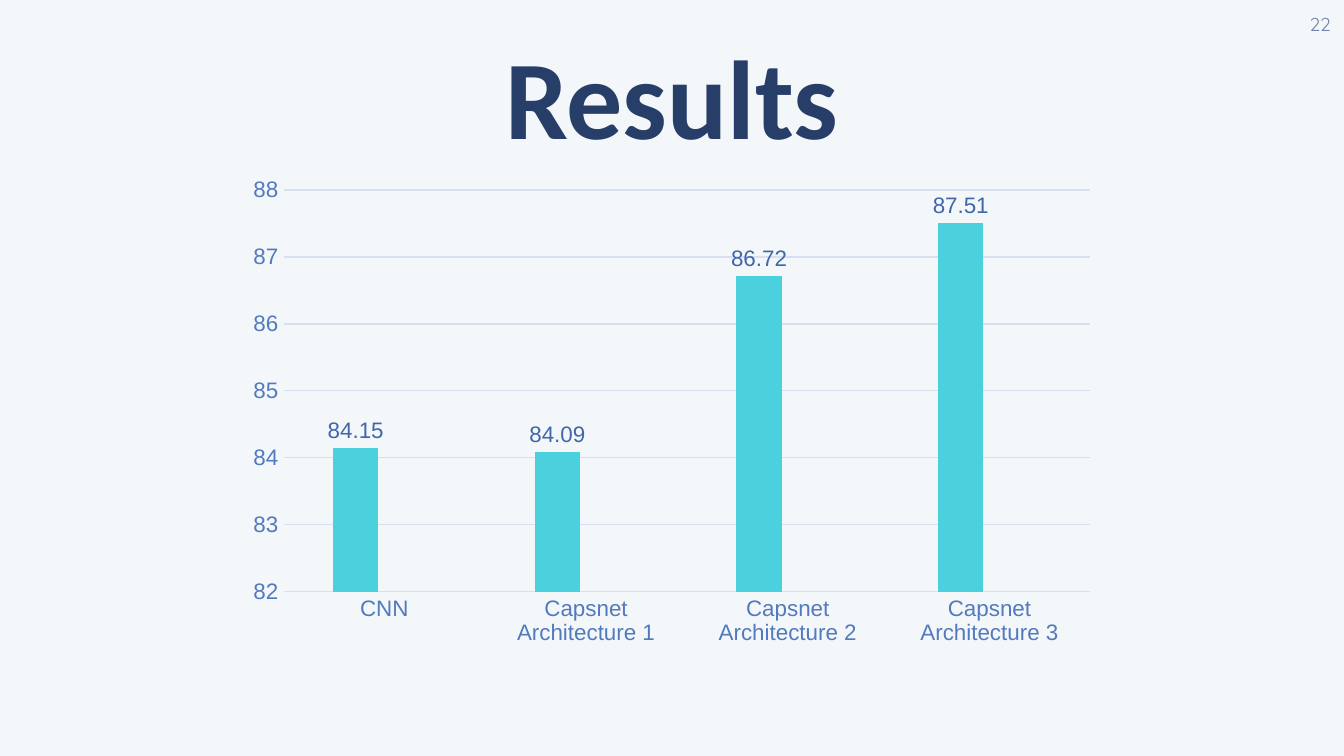
from lxml.etree import SubElement
from pptx import Presentation
from pptx.chart.data import CategoryChartData
from pptx.dml.color import RGBColor
from pptx.enum.chart import XL_CHART_TYPE, XL_LABEL_POSITION, XL_TICK_MARK
from pptx.enum.text import MSO_ANCHOR, PP_ALIGN
from pptx.oxml.ns import qn
from pptx.util import Inches, Pt

COLOURS = {
    "background": "F4F7FA",
    "title": "273F68",
    "page": "7085AA",
    "axis": "527ABE",
    "grid": "D7E0F0",
    "value": "4067AB",
    "first": "4BD1DD",
    "second": "BD9ADD",
}
ACCURACY = {
    "CNN": 84.15,
    "Capsnet Architecture 1": 84.09,
    "Capsnet Architecture 2": 86.72,
    "Capsnet Architecture 3": 87.51,
}


def apply(target, formats):
    """Set each attribute of the target from a dict of values."""
    for name, value in formats.items():
        setattr(target, name, value)


def colour(name):
    """Return the named colour."""
    return RGBColor.from_string(COLOURS[name])


def style_font(font, name, size, tint, bold=False):
    """Give a font its face, size, colour and weight."""
    apply(font, {"name": name, "size": Pt(size), "bold": bold})
    font.color.rgb = colour(tint)


def style_line(line, tint):
    """Give a line its colour and the common thin width."""
    line.color.rgb = colour(tint)
    line.width = Pt(0.75)


def add_label(slide, box, words, font, frame, paragraph):
    """Place one line of text in the box."""
    label = slide.shapes.add_textbox(*map(Inches, box)).text_frame
    margins = {f"margin_{side}": Inches(0.1) for side in ("left", "right", "top", "bottom")}
    apply(label, {"word_wrap": True, **margins, **frame})
    line = label.paragraphs[0]
    apply(line, paragraph)
    run = line.add_run()
    run.text = words
    style_font(run.font, *font)


def set_plot_area(chart, bounds):
    """Fix the inner plot area as fractions of the chart."""
    plot_area = chart.plots[0]._element.getparent()
    for old in plot_area.findall(qn("c:layout")):
        plot_area.remove(old)
    layout = plot_area.makeelement(qn("c:layout"))
    plot_area.insert(0, layout)
    manual = SubElement(layout, qn("c:manualLayout"))
    settings = {"layoutTarget": "inner", "xMode": "edge", "yMode": "edge"}
    settings.update(zip("xywh", bounds))
    for tag, value in settings.items():
        SubElement(manual, qn(f"c:{tag}")).set("val", str(value))


def add_results_chart(slide, box):
    """Draw the accuracy columns in the box."""
    results = CategoryChartData()
    results.categories = list(ACCURACY)
    results.add_series("Series 1", list(ACCURACY.values()))
    results.add_series("Series 2", [None] * len(ACCURACY))
    chart = slide.shapes.add_chart(
        XL_CHART_TYPE.COLUMN_CLUSTERED, *map(Inches, box), results
    ).chart
    apply(chart, {"has_legend": False, "has_title": False})
    style_font(chart.font, "Arial", 10, "title")
    set_plot_area(chart, (0.066, 0.025, 0.9, 0.804))

    columns = chart.plots[0]
    apply(columns, {"gap_width": 219, "overlap": -27, "vary_by_categories": False})
    for series, tint in zip(columns.series, ("first", "second")):
        series.format.fill.solid()
        series.format.fill.fore_color.rgb = colour(tint)
        labels = series.data_labels
        apply(labels, {"show_value": True, "position": XL_LABEL_POSITION.OUTSIDE_END})
        style_font(labels.font, "Arial", 12, "value")

    categories, scale = chart.category_axis, chart.value_axis
    for axis in (categories, scale):
        apply(axis, {
            "major_tick_mark": XL_TICK_MARK.NONE,
            "minor_tick_mark": XL_TICK_MARK.NONE,
        })
        style_font(axis.tick_labels.font, "Arial", 12, "axis")
    apply(scale, {"minimum_scale": 82, "maximum_scale": 88, "major_unit": 1})
    apply(scale.tick_labels, {"number_format": "General", "number_format_is_linked": False})
    scale.format.line.fill.background()
    style_line(categories.format.line, "grid")
    style_line(scale.major_gridlines.format.line, "grid")


def build_results_slide(deck):
    """Add the results slide with its title, page number and chart."""
    slide = deck.slides.add_slide(deck.slide_layouts[6])
    slide.background.fill.solid()
    slide.background.fill.fore_color.rgb = colour("background")
    add_label(
        slide, (1.24, 0.35, 7.52, 0.97), "Results", ("Calibri", 60, "title", True),
        {"vertical_anchor": MSO_ANCHOR.BOTTOM},
        {"alignment": PP_ALIGN.CENTER, "line_spacing": 0.9},
    )
    add_label(
        slide, (9.57, 0, 0.43, 0.35), "22", ("Quicksand", 10, "page"),
        {"vertical_anchor": MSO_ANCHOR.TOP, "margin_top": Inches(0.12)},
        {"alignment": PP_ALIGN.RIGHT},
    )
    add_results_chart(slide, (1.67, 1.32, 6.67, 3.72))


def main():
    """Build and save the deck in 16:9."""
    deck = Presentation()
    width = Inches(10)
    apply(deck, {"slide_width": width, "slide_height": width * 9 // 16})
    build_results_slide(deck)
    deck.save("out.pptx")


if __name__ == "__main__":
    main()
